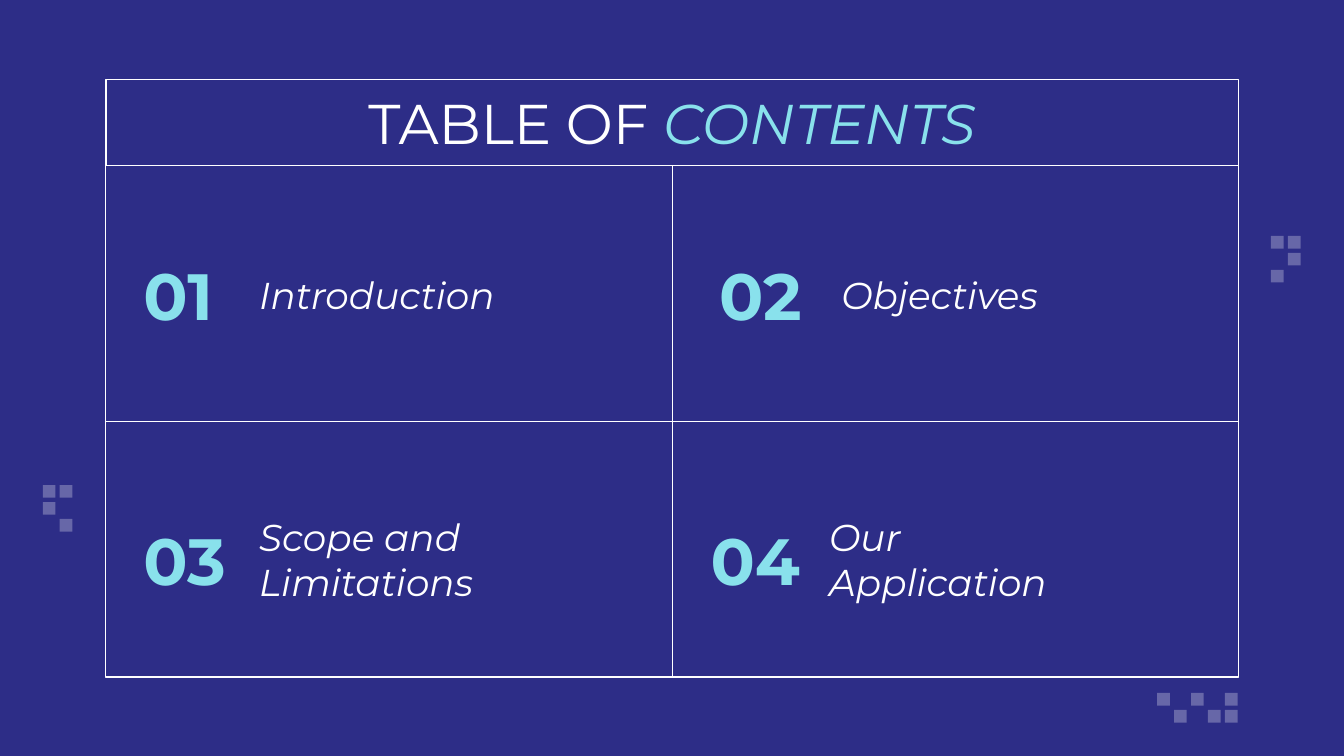
from lxml.etree import SubElement
from pptx import Presentation
from pptx.dml.color import RGBColor
from pptx.enum.shapes import MSO_CONNECTOR as Connector, MSO_SHAPE as Shape
from pptx.enum.text import MSO_ANCHOR as Anchor, MSO_AUTO_SIZE as AutoSize, PP_ALIGN as Align
from pptx.oxml.ns import qn
from pptx.util import Cm, Pt

NAVY, WHITE, AQUA = "2D2D87", "FFFFFF", "89E1EC"
LEFT, WIDTH = 2, 21.41
HEADER_TOP, ROW_HEIGHT = 1.5, 1.63
GRID_TOP, GRID_HEIGHT = HEADER_TOP + ROW_HEIGHT, 9.67

# number, its left, label, its left, top, label's right inset
CONTENTS = [
    ("01", 2.46, "Introduction", 4.65, 4.75, 1.78),
    ("02", 13.34, "Objectives", 15.65, 4.75, 2.03),
    ("03", 2.46, "Scope and Limitations", 4.65, 9.75, 0.25),
    ("04", 13.18, "Our Application", 15.42, 9.75, 1.78),
]
# left, top, rows of pixels
PIXEL_CLUSTERS = [
    (24.02, 4.46, ("##", ".#", "#.")),
    (21.87, 13.1, ("#.#.#", ".#.##")),
    (0.81, 9.17, ("##", "#.", ".#")),
]


def color(hex_value):
    return RGBColor.from_string(hex_value)


class ContentsSlide:
    font = "Montserrat"
    line_width = Pt(0.75)
    pixel_size, pixel_pitch = 0.24, 0.32
    pixel_alpha = "28000"

    def __init__(self, deck):
        self.slide = deck.slides.add_slide(deck.slide_layouts[5])
        self.shapes = self.slide.shapes
        self.fill(self.slide.background, NAVY)

    def fill(self, target, hex_value):
        target.fill.solid()
        target.fill.fore_color.rgb = color(hex_value)

    def outline(self, target):
        target.line.color.rgb = color(WHITE)
        target.line.width = self.line_width

    def set_text(self, shape, runs, align=Align.LEFT, right_inset=0.25):
        """Fill a shape with one paragraph of (text, font settings, colour) runs."""
        frame = shape.text_frame
        settings = {
            "word_wrap": True, "auto_size": AutoSize.NONE, "vertical_anchor": Anchor.MIDDLE,
            "margin_left": Cm(0.25), "margin_top": Cm(0.25),
            "margin_bottom": Cm(0.25), "margin_right": Cm(right_inset),
        }
        for name, value in settings.items():
            setattr(frame, name, value)
        paragraph = frame.paragraphs[0]
        paragraph.alignment = align
        for text, font_settings, hex_value in runs:
            run = paragraph.add_run()
            run.text = text
            for name, value in {"name": self.font, **font_settings}.items():
                setattr(run.font, name, value)
            run.font.color.rgb = color(hex_value)

    def title(self, runs, left, top, width, height):
        title = self.shapes.title
        title.left, title.top, title.width, title.height = map(Cm, (left, top, width, height))
        self.fill(title, NAVY)
        self.outline(title)
        self.set_text(title, runs, Align.CENTER)

    def text(self, runs, left, top, width, height, right_inset=0.25):
        box = self.shapes.add_textbox(*map(Cm, (left, top, width, height)))
        self.fill(box, NAVY)
        self.set_text(box, runs, right_inset=right_inset)

    def rectangle(self, left, top, width, height):
        rectangle = self.shapes.add_shape(Shape.RECTANGLE, *map(Cm, (left, top, width, height)))
        rectangle.shadow.inherit = False
        return rectangle

    def frame(self, left, top, width, height):
        frame = self.rectangle(left, top, width, height)
        frame.fill.background()
        self.outline(frame)
        return frame

    def divider(self, frame, begin_side, end_side):
        divider = self.shapes.add_connector(Connector.STRAIGHT, 0, 0, 0, 0)
        divider.begin_connect(frame, begin_side)
        divider.end_connect(frame, end_side)
        self.outline(divider)
        SubElement(divider._element.spPr, qn("a:effectLst"))

    def pixels(self, left, top, rows):
        """Draw a translucent square for each # in the rows."""
        for row, marks in enumerate(rows):
            for column, mark in enumerate(marks):
                if mark != "#":
                    continue
                pixel = self.rectangle(left + column * self.pixel_pitch,
                                       top + row * self.pixel_pitch,
                                       self.pixel_size, self.pixel_size)
                self.fill(pixel, WHITE)
                pixel.line.fill.background()
                tint = pixel._element.spPr.find(qn("a:solidFill"))[0]
                SubElement(tint, qn("a:alpha"), val=self.pixel_alpha)


def main():
    deck = Presentation()
    deck.slide_width, deck.slide_height = Cm(25.4), Cm(14.29)
    page = ContentsSlide(deck)

    for cluster in PIXEL_CLUSTERS:
        page.pixels(*cluster)

    page.title([("TABLE OF ", {"size": Pt(30)}, WHITE),
                ("CONTENTS", {"size": Pt(30), "italic": True}, AQUA)],
               LEFT, HEADER_TOP, WIDTH, ROW_HEIGHT)
    grid = page.frame(LEFT, GRID_TOP, WIDTH, GRID_HEIGHT)

    number_style = {"size": Pt(35), "bold": True}
    label_style = {"size": Pt(20), "italic": True}
    for number, number_left, label, label_left, top, right_inset in CONTENTS:
        page.text([(number, number_style, AQUA)], number_left, top, 4.01, ROW_HEIGHT)
        page.text([(label, label_style, WHITE)], label_left, top, 6.76, ROW_HEIGHT, right_inset)

    page.divider(grid, 0, 2)
    page.divider(grid, 1, 3)
    deck.save("out.pptx")


if __name__ == "__main__":
    main()
